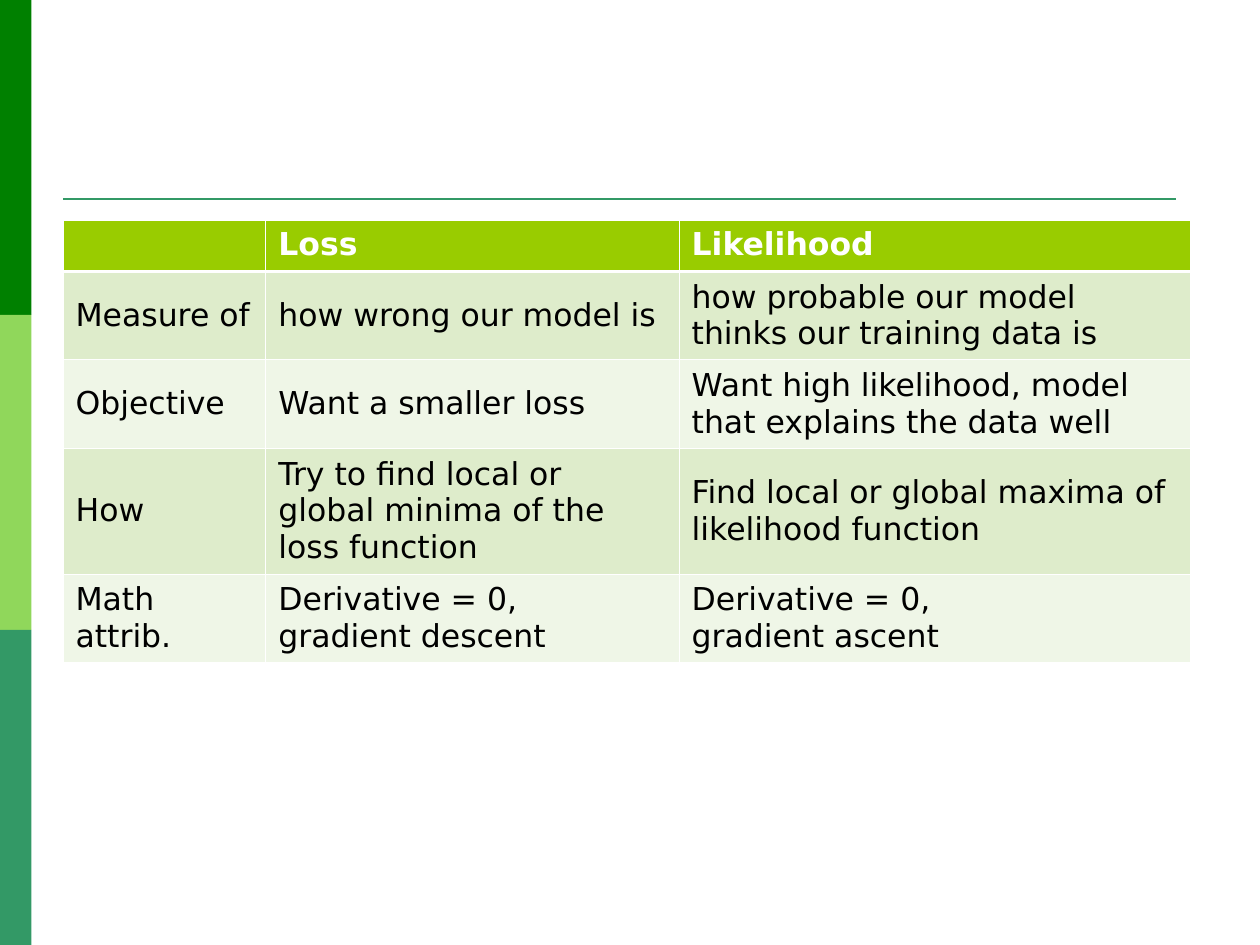
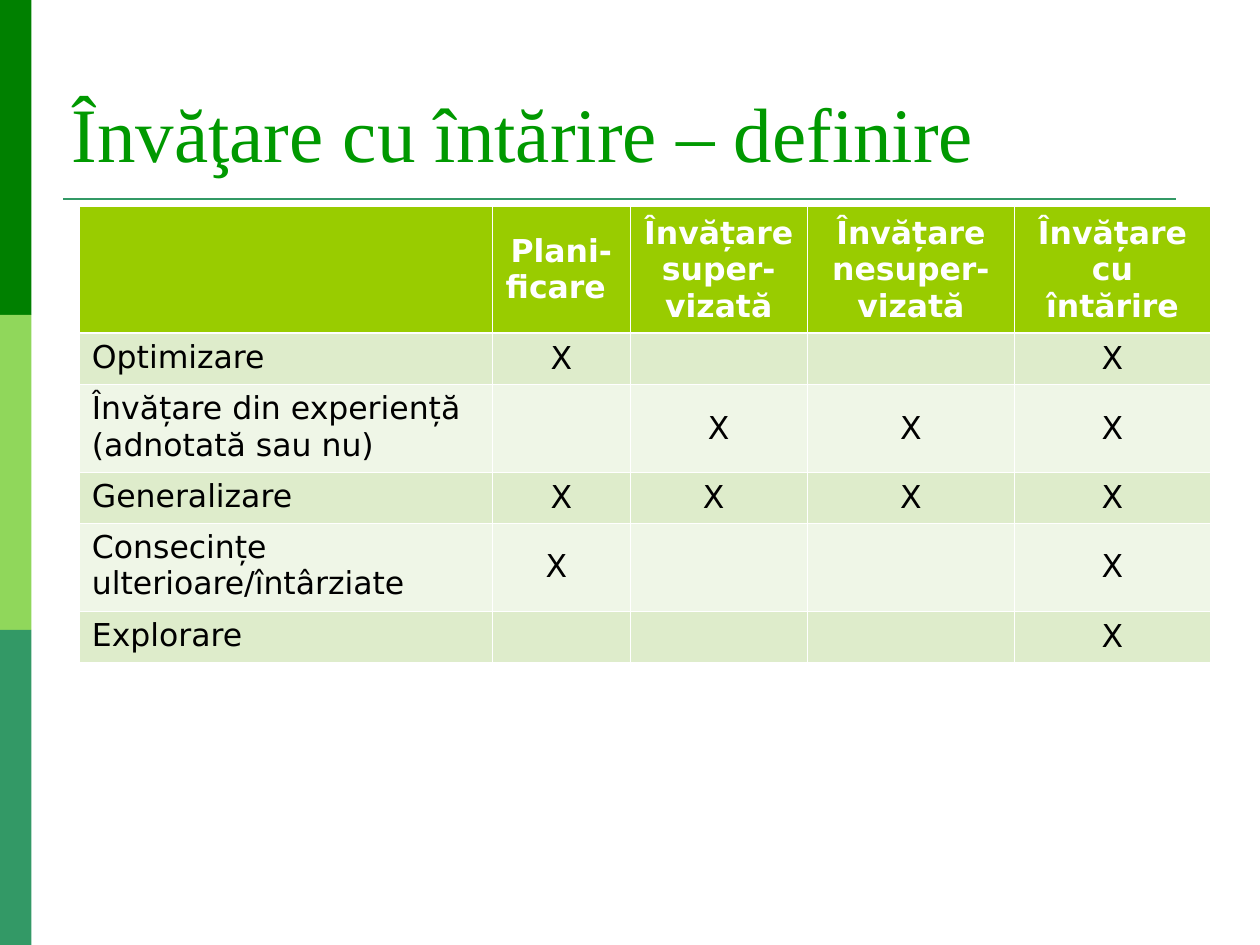
from lxml import etree
from pptx import Presentation
from pptx.dml.color import RGBColor
from pptx.enum.shapes import MSO_CONNECTOR, MSO_SHAPE
from pptx.enum.text import MSO_ANCHOR, MSO_AUTO_SIZE, PP_ALIGN
from pptx.oxml.ns import qn
from pptx.util import Inches, Pt

RECTANGLE = MSO_SHAPE.RECTANGLE
STRAIGHT = MSO_CONNECTOR.STRAIGHT
TOP, MIDDLE, BOTTOM = MSO_ANCHOR.TOP, MSO_ANCHOR.MIDDLE, MSO_ANCHOR.BOTTOM
LEFT, CENTER = PP_ALIGN.LEFT, PP_ALIGN.CENTER
NO_FIT = MSO_AUTO_SIZE.NONE

WHITE = RGBColor(0xFF, 0xFF, 0xFF)
BLACK = RGBColor(0x00, 0x00, 0x00)
DARK_GREEN = RGBColor(0x00, 0x80, 0x00)
LIGHT_GREEN = RGBColor(0x90, 0xD7, 0x5B)
SEA_GREEN = RGBColor(0x33, 0x99, 0x66)
TITLE_GREEN = RGBColor(0x00, 0x99, 0x00)
HEADER_GREEN = RGBColor(0x99, 0xCC, 0x00)
ROW_FILLS = (RGBColor(0xDE, 0xEC, 0xCB), RGBColor(0xEF, 0xF6, 0xE7))

BODY_FONT, TITLE_FONT = "DejaVu Sans", "Times New Roman"
BODY_SIZE, TITLE_SIZE = Pt(18), Pt(44)
THIN, THICK = Pt(0.45), Pt(1.47)
GRID_COLUMNS, GRID_ROWS = 40, 30
TITLE_ONLY, BLANK = 5, 6

COMPARISON = (
    ("", "Loss", "Likelihood"),
    ("Measure of", "how wrong our model is",
     "how probable our model thinks our training data is"),
    ("Objective", "Want a smaller loss",
     "Want high likelihood, model that explains the data well"),
    ("How", "Try to find local or global minima of the loss function",
     "Find local or global maxima of likelihood function"),
    ("Math attrib.", "Derivative = 0,\ngradient descent",
     "Derivative = 0,\ngradient ascent"),
)

LEARNING_TYPES = (
    ("", "Plani- ficare ", "Învățare super-vizată",
     "Învățare nesuper- vizată", "Învățare cu întărire"),
    ("Optimizare", "X", "", "", "X"),
    ("Învățare din experiență (adnotată sau nu)", "", "X", "X", "X"),
    ("Generalizare", "X", "X ", "X", "X"),
    ("Consecințe ulterioare/întârziate", "X ", "", "", "X"),
    ("Explorare", "", "", "", "X"),
)


class GreenDeck:
    """Holds the deck's style and the slide being built, measured in grid cells."""

    def __init__(self):
        self.deck = Presentation()
        self.deck.slide_width = Inches(10)
        self.deck.slide_height = Inches(7.5)
        self.slide = None

    def across(self, columns):
        return round(self.deck.slide_width * columns / GRID_COLUMNS)

    def down(self, rows):
        return round(self.deck.slide_height * rows / GRID_ROWS)

    def frame(self, column, row, width, height):
        return (self.across(column), self.down(row),
                self.across(width), self.down(height))

    def add_slide(self, title=None):
        layout = self.deck.slide_layouts[TITLE_ONLY if title else BLANK]
        self.slide = self.deck.slides.add_slide(layout)
        for index, color in enumerate((DARK_GREEN, LIGHT_GREEN, SEA_GREEN)):
            self.add_band(index * 10, color)
        self.add_rule()
        if title:
            self.add_title(title)

    def add_band(self, row, color):
        band = self.slide.shapes.add_shape(RECTANGLE, *self.frame(0, row, 1, 10))
        band.shadow.inherit = False
        band.fill.solid()
        band.fill.fore_color.rgb = color
        band.line.fill.background()

    def add_rule(self):
        height = self.down(6.32)
        rule = self.slide.shapes.add_connector(
            STRAIGHT, self.across(2), height, self.across(37.32), height)
        rule.line.color.rgb = SEA_GREEN
        rule.line.width = Pt(1.5)
        etree.SubElement(rule._element.spPr, qn("a:effectLst"))

    def add_title(self, text):
        title = self.slide.shapes.title
        title.left, title.top, title.width, title.height = self.frame(
            1.88, 1.2, 37.64, 4.64)
        box = title.text_frame
        box.auto_size = NO_FIT
        box.word_wrap = True
        box.vertical_anchor = BOTTOM
        self.add_span(box.paragraphs[0], text, TITLE_FONT, TITLE_SIZE, TITLE_GREEN)

    def add_span(self, para, text, font, size, color, bold=False, align=LEFT):
        para.alignment = align
        span = para.add_run()
        span.text = text
        span.font.name = font
        span.font.size = size
        span.font.bold = bold
        span.font.color.rgb = color

    def add_table(self, column, row, widths, heights, texts,
                  header_anchor=MIDDLE, label_anchor=MIDDLE, value_align=LEFT):
        table = self.slide.shapes.add_table(
            len(heights), len(widths),
            *self.frame(column, row, sum(widths), sum(heights))).table
        table.first_row = table.horz_banding = False
        for table_column, width in zip(table.columns, widths):
            table_column.width = self.across(width)
        for table_row, height in zip(table.rows, heights):
            table_row.height = self.down(height)
        for row_index, row_texts in enumerate(texts):
            for column_index, text in enumerate(row_texts):
                cell = table.cell(row_index, column_index)
                if row_index == 0:
                    cell.vertical_anchor = header_anchor
                else:
                    cell.vertical_anchor = MIDDLE if column_index else label_anchor
                align = value_align if column_index else LEFT
                self.style_cell(cell, row_index)
                self.write_cell(cell, text, row_index == 0, align)

    def write_cell(self, cell, text, is_header, align):
        box = cell.text_frame
        color = WHITE if is_header else BLACK
        for index, line in enumerate(text.split("\n") if text else ()):
            para = box.add_paragraph() if index else box.paragraphs[0]
            self.add_span(para, line, BODY_FONT, BODY_SIZE, color, is_header, align)

    def style_cell(self, cell, row_index):
        cell.fill.solid()
        cell.fill.fore_color.rgb = (
            ROW_FILLS[(row_index - 1) % 2] if row_index else HEADER_GREEN)
        borders = (("a:lnL", THIN), ("a:lnR", THIN),
                   ("a:lnT", THICK if row_index == 1 else THIN),
                   ("a:lnB", THICK if row_index == 0 else THIN))
        properties = cell._tc.get_or_add_tcPr()
        for position, (side, width) in enumerate(borders):
            border = etree.Element(qn(side), w=str(int(width)))
            fill = etree.SubElement(border, qn("a:solidFill"))
            etree.SubElement(fill, qn("a:srgbClr"), val=str(WHITE))
            properties.insert(position, border)


def main():
    green = GreenDeck()
    green.add_slide()
    green.add_table(2, 7, (6.44, 13.12, 16.24), (1.6, 2.8, 2.8, 4, 2.8),
                    COMPARISON, header_anchor=TOP)
    green.add_slide("Învăţare cu întărire – definire")
    green.add_table(2.52, 6.56, (13.12, 4.36, 5.64, 6.56, 6.24),
                    (4, 1.64, 2.8, 1.6, 2.8, 1.6), LEARNING_TYPES,
                    label_anchor=TOP, value_align=CENTER)
    green.deck.save("out.pptx")


if __name__ == "__main__":
    main()
